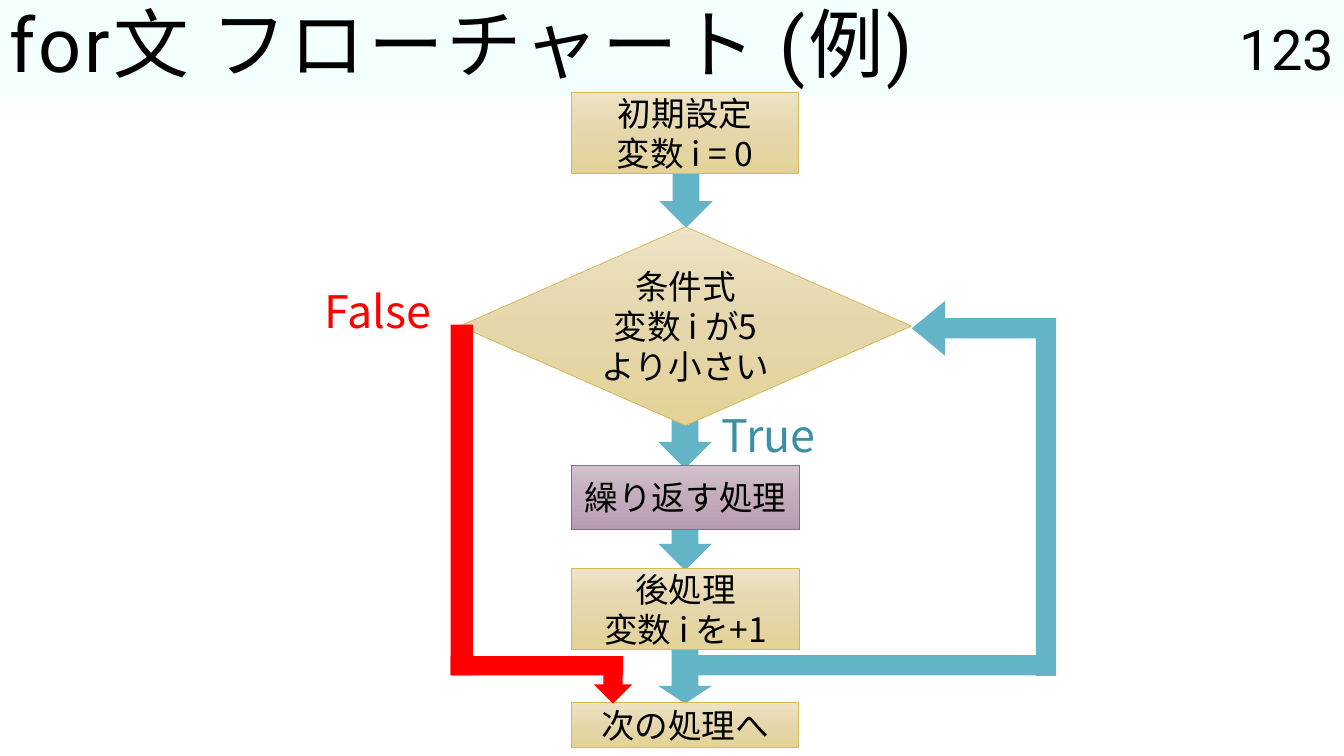
from copy import deepcopy

from pptx import Presentation
from pptx.dml.color import RGBColor
from pptx.enum.shapes import MSO_SHAPE as Shape
from pptx.enum.text import MSO_ANCHOR as Anchor, PP_ALIGN as Align
from pptx.oxml.ns import qn
from pptx.util import Inches, Pt

BLACK = RGBColor(0x00, 0x00, 0x00)
RED = RGBColor(0xFF, 0x00, 0x00)
TEAL = RGBColor(0x62, 0xB4, 0xC6)
DARK_TEAL = RGBColor(0x3B, 0x90, 0xA3)
PALE_CYAN = RGBColor(0xF3, 0xFE, 0xFF)
GOLD_LINE = RGBColor(0xD3, 0xBA, 0x55)
GOLD_STOPS = (RGBColor(0xED, 0xE3, 0xC5), RGBColor(0xE5, 0xD7, 0xAB),
              RGBColor(0xE4, 0xD2, 0x97))
PURPLE_LINE = RGBColor(0x96, 0x64, 0x8A)
PURPLE_STOPS = (RGBColor(0xD1, 0xC1, 0xCD), RGBColor(0xC2, 0xAC, 0xBC),
                RGBColor(0xB9, 0x9C, 0xB1))


class FlowchartSlide:
    heading_font = "Roboto"
    body_font = "Noto Sans CJK JP"

    def __init__(self, presentation):
        self.slide = presentation.slides.add_slide(presentation.slide_layouts[6])

    def set_text(self, shape, text, size, color, font, align, anchor=Anchor.MIDDLE):
        """Fill a shape with text, one paragraph per line."""
        frame = shape.text_frame
        frame.text = text
        frame.word_wrap = True
        frame.vertical_anchor = anchor
        for paragraph in frame.paragraphs:
            paragraph.alignment = align
            for run in paragraph.runs:
                run.font.name = font
                run.font.size = Pt(size)
                run.font.color.rgb = color
                properties = run._r.get_or_add_rPr()
                east_asian = properties.makeelement(
                    qn("a:ea"), {"typeface": self.body_font})
                properties.find(qn("a:latin")).addnext(east_asian)

    def block(self, kind, left, top, width, height, color, rotation=0, adjust=()):
        """A plain shape in one colour, without outline."""
        shape = self.slide.shapes.add_shape(
            kind, Inches(left), Inches(top), Inches(width), Inches(height))
        shape.shadow.inherit = False
        shape.fill.solid()
        shape.fill.fore_color.rgb = color
        shape.line.fill.background()
        shape.rotation = rotation
        for index, value in enumerate(adjust):
            shape.adjustments[index] = value
        return shape

    def step(self, kind, left, top, width, height, text,
             stops=GOLD_STOPS, line=GOLD_LINE):
        """A flowchart node with a vertical three-stop gradient."""
        shape = self.block(kind, left, top, width, height, stops[0])
        shape.fill.gradient()
        shape.fill.gradient_angle = 270
        stop_list = shape._element.spPr.find(".//" + qn("a:gsLst"))
        stop_list.insert(1, deepcopy(stop_list[0]))
        for index, stop in enumerate(shape.fill.gradient_stops):
            stop.position = index / 2
            stop.color.rgb = stops[index]
        shape.line.color.rgb = line
        shape.line.width = Pt(0.5)
        self.set_text(shape, text, 24, BLACK, self.body_font, Align.CENTER)

    def label(self, left, top, width, height, text, size, color,
              font=body_font, align=Align.LEFT, anchor=Anchor.TOP):
        box = self.slide.shapes.add_textbox(
            Inches(left), Inches(top), Inches(width), Inches(height))
        self.set_text(box, text, size, color, font, align, anchor)

    def title(self, text, number):
        bar = self.block(Shape.RECTANGLE, 0, 0, 13.33, 0.96, PALE_CYAN)
        self.set_text(bar, text, 54, BLACK, self.heading_font, Align.LEFT)
        paragraph = bar.text_frame.paragraphs[0]
        paragraph.line_spacing = 0.9
        paragraph.runs[0]._r.get_or_add_rPr().set("spc", "200")
        self.label(11.83, 0, 1.5, 0.96, number, 40, BLACK,
                   self.heading_font, Align.RIGHT, Anchor.MIDDLE)


def main():
    presentation = Presentation()
    presentation.slide_width = Inches(13.33)
    presentation.slide_height = Inches(7.5)
    chart = FlowchartSlide(presentation)

    # Title bar and page number
    chart.title("for文 フローチャート (例)", "123")

    # Main flow arrows, behind the nodes
    chart.block(Shape.RECTANGLE, 6.79, 6.5, 3.68, 0.2, TEAL)
    for left, top, adjust in ((6.54, 1.72, ()), (6.53, 4.11, ()),
                              (6.53, 5.12, ()), (6.53, 6.44, (0.5, 0.33))):
        chart.block(Shape.DOWN_ARROW, left, top, 0.53, 0.54, TEAL, adjust=adjust)

    # Nodes
    chart.step(Shape.RECTANGLE, 5.67, 4.62, 2.26, 0.63, "繰り返す処理",
               PURPLE_STOPS, PURPLE_LINE)
    chart.step(Shape.DIAMOND, 4.56, 2.25, 4.48, 1.97,
               "条件式\n変数 i が5\nより小さい")
    chart.step(Shape.RECTANGLE, 5.67, 0.92, 2.25, 0.8, "初期設定\n変数 i = 0")
    chart.step(Shape.RECTANGLE, 5.67, 6.97, 2.25, 0.44, "次の処理へ")
    chart.step(Shape.RECTANGLE, 5.67, 5.64, 2.26, 0.8, "後処理\n変数 i を+1")

    # Branch labels
    chart.label(7.06, 4, 1.34, 0.64, "True", 32, DARK_TEAL)
    chart.label(3.12, 2.77, 1.41, 0.64, "False", 32, RED)

    # Loop back to the condition
    chart.block(Shape.BENT_UP_ARROW, 7.9, 4.13, 3.72, 1.43, TEAL,
                rotation=270, adjust=(0.14, 0.19, 0.23))

    # False branch
    chart.block(Shape.RECTANGLE, 4.47, 3.22, 0.22, 3.48, RED)
    chart.block(Shape.RECTANGLE, 4.47, 6.51, 1.71, 0.19, RED)
    chart.block(Shape.DOWN_ARROW, 5.89, 6.56, 0.38, 0.42, RED)

    presentation.save("out.pptx")


if __name__ == "__main__":
    main()
